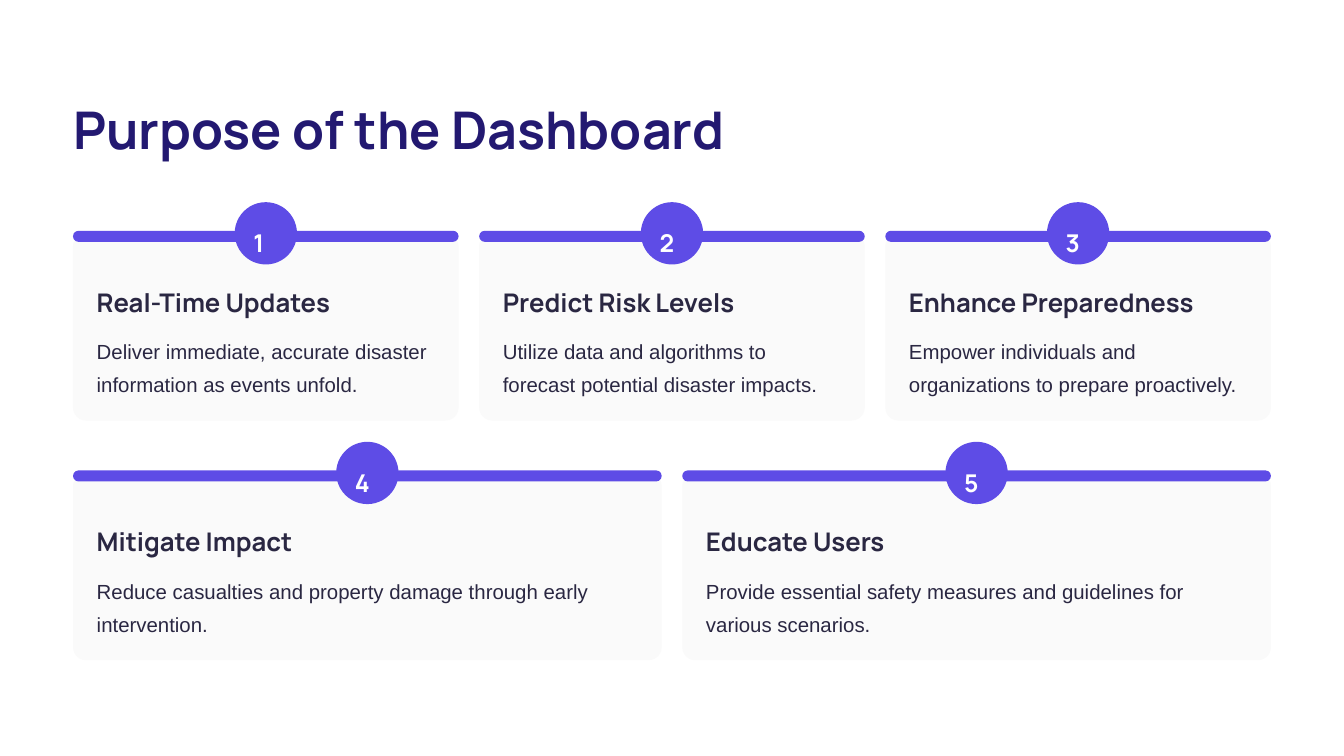
from pptx import Presentation
from pptx.util import Pt
from pptx.dml.color import RGBColor
from pptx.enum.shapes import MSO_SHAPE as SHAPE
from pptx.oxml.ns import qn
from lxml.etree import SubElement

VIOLET, INK, NAVY, WHITE, PALE = "5E4CE6", "2A2742", "231971", "FFFFFF", "FAFAFA"

prs = Presentation()
prs.slide_width, prs.slide_height = Pt(1152), Pt(648)
s = prs.slides.add_slide(prs.slide_layouts[6])


def add_round(x, y, w, h, color, adj):
    sp = s.shapes.add_shape(SHAPE.ROUNDED_RECTANGLE, Pt(x), Pt(y), Pt(w), Pt(h))
    sp.adjustments[0] = adj
    sp.shadow.inherit = False
    sp.fill.solid()
    sp.fill.fore_color.rgb = RGBColor.from_string(color)
    sp.line.fill.background()
    return sp


def add_text(x, y, w, h, text, font, size, color, spacing, bold=True):
    tf = s.shapes.add_textbox(Pt(x), Pt(y), Pt(w), Pt(h)).text_frame
    tf.margin_left = tf.margin_right = tf.margin_top = tf.margin_bottom = 0
    tf.word_wrap = True
    tf.text = text
    p = tf.paragraphs[0]
    p.line_spacing = Pt(spacing)
    f = p.runs[0].font
    f.name, f.size, f.bold = font, Pt(size), bold
    f.color.rgb = RGBColor.from_string(color)


# Heading
LEFT, TOTAL, GAP = 62.6, 1026.8, 17.6
add_text(LEFT, 81.5, 600, 56, "Purpose of the Dashboard", "Manrope", 44.5, NAVY, 55.5)

# Cards: each row shares the full width equally
TOP, PITCH, CARD_H, BADGE, PAD = 200, 205.4, 160.5, 53.4, 20.3
rows = [
    [("Real-Time Updates",
      "Deliver immediate, accurate disaster information as events unfold."),
     ("Predict Risk Levels",
      "Utilize data and algorithms to forecast potential disaster impacts."),
     ("Enhance Preparedness",
      "Empower individuals and organizations to prepare proactively.")],
    [("Mitigate Impact",
      "Reduce casualties and property damage through early intervention."),
     ("Educate Users",
      "Provide essential safety measures and guidelines for various scenarios.")],
]
number = 0
for i, row in enumerate(rows):
    y = TOP + i * PITCH
    w = (TOTAL - GAP * (len(row) - 1)) / len(row)
    for j, (title, body) in enumerate(row):
        x = LEFT + j * (w + GAP)
        text_w = w - 2 * PAD
        number += 1

        # Slightly transparent panel with a bar on its top edge
        panel = add_round(x, y, w, CARD_H, PALE, 0.07)
        clr = panel.fill._xPr.find(qn("a:solidFill"))[0]
        SubElement(clr, qn("a:alpha"), val="95000")
        add_round(x, y - 2.2, w, 9.5, VIOLET, 0.5)

        # Numbered badge
        bx, by = x + (w - BADGE) / 2, y - BADGE / 2
        add_round(bx, by, BADGE, BADGE, VIOLET, 0.5)
        add_text(bx + 16, by + 13.3, 21.4, 26.7, str(number), "Manrope", 21, WHITE, 34)

        # Title and description
        add_text(x + PAD, y + 44.6, text_w, 28, title, "Manrope", 22, INK, 27.5)
        add_text(x + PAD, y + 83.3, text_w, 57, body, "Arial", 17.5, INK, 28.5, bold=False)

prs.save("out.pptx")
